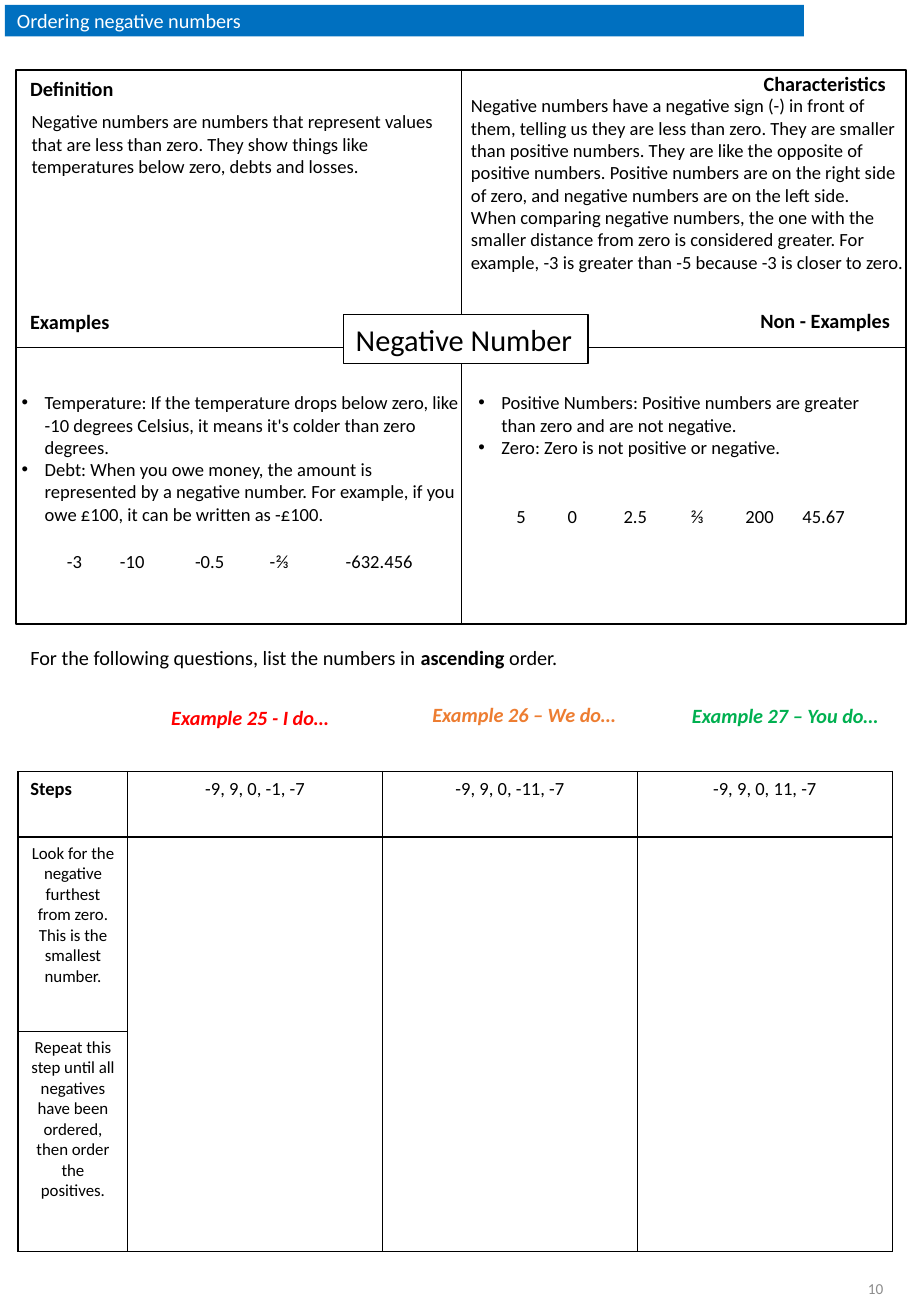
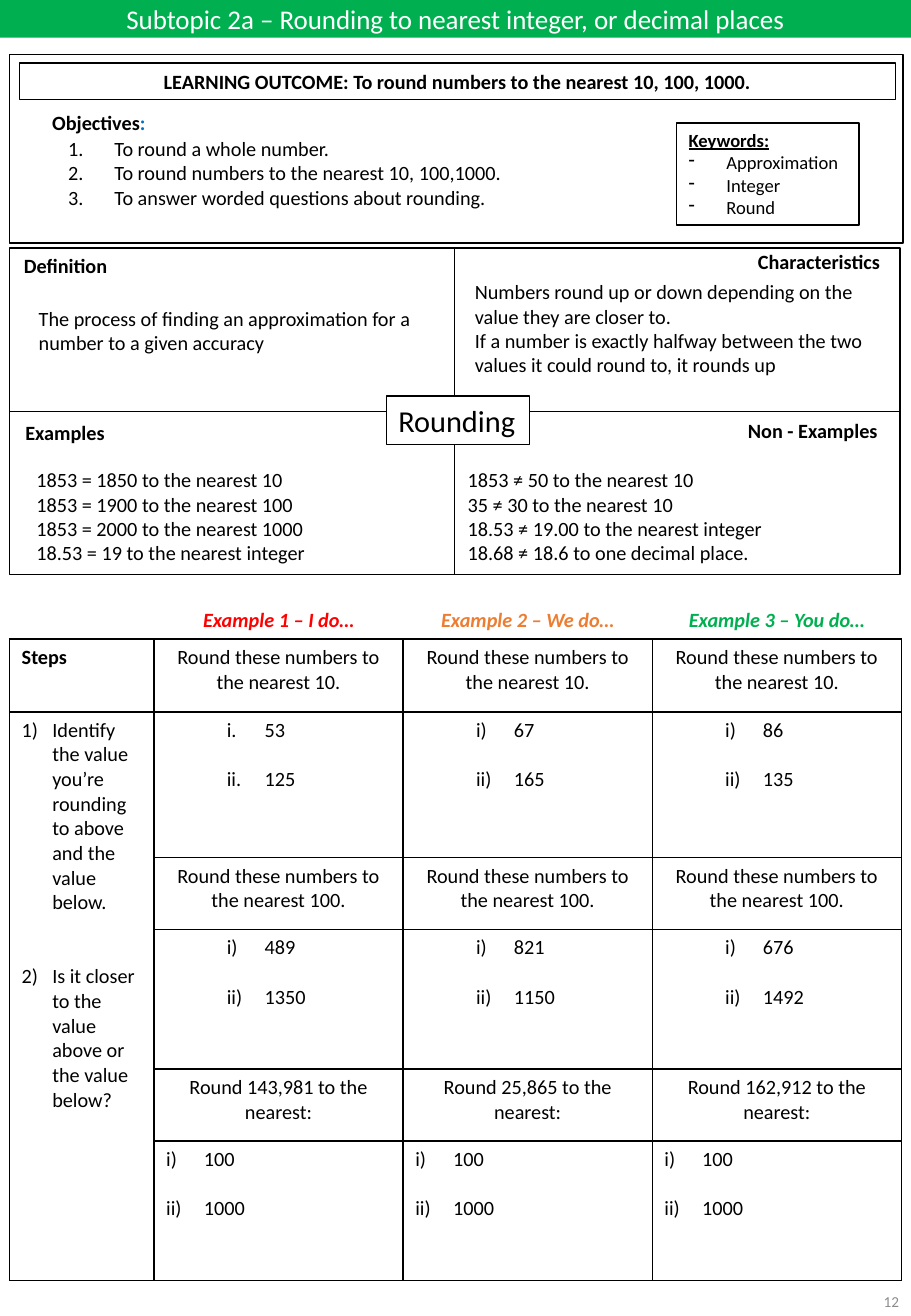
from dataclasses import dataclass

from lxml import etree
from pptx import Presentation
from pptx.dml.color import RGBColor
from pptx.enum import shapes, text
from pptx.oxml import ns
from pptx.util import Cm, Pt


@dataclass(frozen=True)
class Theme:
    font: str = "Calibri"
    ink: str = "000000"
    paper: str = "FFFFFF"
    blue: str = "0070C0"
    green: str = "00B050"
    red: str = "FF0000"
    orange: str = "ED7D31"
    grey: str = "8C8C8C"
    page: int = 9
    step: int = 10
    small: int = 11
    body: int = 12
    banner: int = 16
    concept: int = 18
    thick: float = 1
    medium: float = 0.75
    thin: float = 0.5


T = Theme()
CENTER, LEFT, RIGHT = text.PP_ALIGN.CENTER, text.PP_ALIGN.LEFT, text.PP_ALIGN.RIGHT
TOP, MIDDLE, BOTTOM = (text.MSO_ANCHOR.TOP, text.MSO_ANCHOR.MIDDLE,
                       text.MSO_ANCHOR.BOTTOM)
BLANK_LINE = 14.6
EXAMPLE_COLORS = (T.red, T.orange, T.green)
EXAMPLE_STYLE = dict(bold=True, italic=True)

# Content; every box is (left, top, width, height) in centimetres.
NEGATIVES = {
    "frame": (0.33, 1.47, 18.62, 11.58),
    "labels": [("Definition", 0.38, 1.47), ("Characteristics", 15.72, 1.37),
               ("Examples", 0.38, 6.35), ("Non - Examples", 15.65, 6.32)],
    "concept": ("Negative Number", (7.19, 6.58, 5.11, 1.02)),
    "texts": [
        ((0.41, 2.18, 8.97, 1.68), [
            "Negative numbers are numbers that represent values that are less than "
            "zero. They show things like temperatures below zero, debts and losses."]),
        ((9.6, 1.85, 9.7, 4.01), [
            "Negative numbers have a negative sign (-) in front of them, telling us "
            "they are less than zero. They are smaller than positive numbers. They are "
            "like the opposite of positive numbers. Positive numbers are on the right "
            "side of zero, and negative numbers are on the left side.",
            "When comparing negative numbers, the one with the smaller distance from "
            "zero is considered greater. For example, -3 is greater than -5 because "
            "-3 is closer to zero."]),
    ],
}
NEGATIVE_LISTS = [
    ((0.2, 8.05, 9.65, 3.2), [
        "Temperature: If the temperature drops below zero, like -10 degrees Celsius, "
        "it means it's colder than zero degrees.",
        "Debt: When you owe money, the amount is represented by a negative number. "
        "For example, if you owe £100, it can be written as -£100."]),
    ((9.75, 8.05, 8.97, 2), [
        "Positive Numbers: Positive numbers are greater than zero and are not negative.",
        "Zero: Zero is not positive or negative."]),
]
NUMBER_ROWS = [
    ((1.15, 11.37, 8.6, 0.75), ["-3", "-10", "-0.5", "-⅔", "-632.456"],
     (1.11, 2.68, 4.24, 5.83)),
    ((10.55, 10.43, 8.3, 0.75), ["5", "0", "2.5", "⅔", "200", "45.67"],
     (1.07, 2.24, 3.64, 4.79, 5.98)),
]
NEGATIVE_EXAMPLES = [("Example 25 - I do…", 3.33, 14.61),
                     ("Example 26 – We do…", 8.79, 14.55),
                     ("Example 27 – You do…", 14.22, 14.58)]
ORDERING_SETS = ["-9, 9, 0, -1, -7", "-9, 9, 0, -11, -7", "-9, 9, 0, 11, -7"]
ORDERING_STEPS = [
    "Look for the negative furthest from zero. This is the smallest number.",
    "Repeat this step until all negatives have been ordered, then order the positives."]

ROUNDING = {
    "frame": (0.2, 5.18, 18.62, 6.83),
    "labels": [("Definition", 0.25, 5.18), ("Characteristics", 15.6, 5.08),
               ("Examples", 0.28, 8.66), ("Non - Examples", 15.39, 8.61)],
    "concept": ("Rounding", (8.08, 8.28, 3, 1.02)),
    "texts": [
        ((0.56, 6.27, 8.97, 1.27), [
            "The process of finding an approximation for a number to a given accuracy"]),
        ((9.68, 5.72, 8.97, 2.31), [
            "Numbers round up or down depending on the value they are closer to.",
            "If a number is exactly halfway between the two values it could round to, "
            "it rounds up"]),
        ((0.51, 9.65, 8.97, 2.31), [
            "1853 = 1850 to the nearest 10", "1853 = 1900 to the nearest 100",
            "1853 = 2000 to the nearest 1000", "18.53 = 19 to the nearest integer"]),
        ((9.53, 9.65, 8.97, 2.31), [
            "1853 ≠ 50 to the nearest 10", "35 ≠ 30 to the nearest 10",
            "18.53 ≠ 19.00 to the nearest integer",
            "18.68 ≠ 18.6 to one decimal place."]),
    ],
}
OBJECTIVES = ["To round a whole number.", "To round numbers to the nearest 10, 100,1000.",
              "To answer worded questions about rounding."]
KEYWORDS = ["Approximation", "Integer", "Round"]
ROUNDING_EXAMPLES = ["Example 1 – I do…", "Example 2 – We do…", "Example 3 – You do…"]
ROUNDING_STEPS = ["Identify the value you’re rounding to above and the value below.",
                  "Is it closer to the value above or the value below?"]
# Per pair of rows: the three prompts, the three answer lists, text indent in cm.
ROUNDING_TASKS = [
    (["Round these numbers to the nearest 10."] * 3,
     [["53", "125"], ["67", "165"], ["86", "135"]], 2.06),
    (["Round these numbers to the nearest 100."] * 3,
     [["489", "1350"], ["821", "1150"], ["676", "1492"]], 2.06),
    ([f"Round {n} to the nearest:" for n in ("143,981", "25,865", "162,912")],
     [["100", "1000"]] * 3, 0.79),
]


def cm(values):
    return [Cm(v) for v in values]


def rgb(code):
    return RGBColor.from_string(code)


def write(tf, paras, size=T.body, color=T.ink, align=LEFT, gap=0, **style):
    """Fill a text frame; a paragraph is a string or a list of (text, font changes)."""
    tf.word_wrap = True
    for i, runs in enumerate(paras):
        p = tf.add_paragraph() if i else tf.paragraphs[0]
        p.alignment = align
        p.space_before = Pt(gap if i else 0)
        for words, changes in [(runs, {})] if isinstance(runs, str) else runs:
            r = p.add_run()
            r.text = words
            look = dict(name=T.font, size=size, color=color) | style | changes
            r.font.color.rgb = rgb(look.pop("color"))
            r.font.size = Pt(look.pop("size"))
            for key, value in look.items():
                setattr(r.font, key, value)
    return tf.paragraphs


def bullet(paras, mark, indent, hang=None):
    """Hang paragraphs on a one-character mark or an automatic numbering scheme."""
    for p in paras:
        pPr = p._p.get_or_add_pPr()
        pPr.set("marL", str(Cm(indent)))
        pPr.set("indent", str(-Cm(hang or indent)))
        if len(mark) == 1:
            etree.SubElement(pPr, ns.qn("a:buChar"), char=mark)
        else:
            etree.SubElement(pPr, ns.qn("a:buAutoNum"), type=mark)


def add_text(s, box, paras, **style):
    sp = s.shapes.add_textbox(*cm(box))
    return write(sp.text_frame, paras, **style)


def add_rect(s, box, width, fill=None):
    sp = s.shapes.add_shape(shapes.MSO_SHAPE.RECTANGLE, *cm(box))
    sp.shadow.inherit = False
    if fill:
        sp.fill.solid()
        sp.fill.fore_color.rgb = rgb(fill)
    else:
        sp.fill.background()
    sp.line.color.rgb = rgb(T.ink)
    sp.line.width = Pt(width)
    sp.text_frame.vertical_anchor = TOP
    return sp


def add_line(s, *ends):
    line = s.shapes.add_connector(shapes.MSO_CONNECTOR.STRAIGHT, *cm(ends))
    line.line.color.rgb = rgb(T.ink)
    line.line.width = Pt(T.thin)
    etree.SubElement(line._element.spPr, ns.qn("a:effectLst"))


def place(sp, box):
    sp.left, sp.top, sp.width, sp.height = cm(box)
    sp.text_frame.auto_size = text.MSO_AUTO_SIZE.NONE


def start_slide(prs, layout, title, box, fill, size, align, page, page_at):
    """Add a slide with its title band and page number."""
    s = prs.slides.add_slide(prs.slide_layouts[layout])
    band = s.shapes.title
    place(band, box)
    band.fill.solid()
    band.fill.fore_color.rgb = rgb(fill)
    band.text_frame.vertical_anchor = MIDDLE
    write(band.text_frame, [title], size, T.paper, align)
    number = s.shapes.add_textbox(*cm((*page_at, 4.29, 1.47)))
    number.text_frame.vertical_anchor = MIDDLE
    write(number.text_frame, [page], T.page, T.grey, RIGHT)
    return s


def fill_list(sp, box, items, size, mark, indent):
    place(sp, box)
    sp.text_frame.vertical_anchor = TOP
    bullet(write(sp.text_frame, items, size), mark, indent)


def add_concept_map(s, content, size):
    """Four labelled quarters around a central concept."""
    x, y, w, h = content["frame"]
    add_rect(s, content["frame"], T.thick)
    add_line(s, x, y + h / 2, x + w, y + h / 2)
    add_line(s, x + w / 2, y + h, x + w / 2, y)
    for label, left, top in content["labels"]:
        add_text(s, (left, top, 3.35, 0.76), [label], bold=True)
    for box, paras in content["texts"]:
        add_text(s, box, paras, size=size)
    name, box = content["concept"]
    tf = add_rect(s, box, T.medium, T.paper).text_frame
    write(tf, [name], T.concept)
    tf.word_wrap = False


def add_grid(s, at, widths, heights, open_rows):
    """Add a ruled white table; open_rows maps a row to the only sides it shows."""
    size = (sum(widths), sum(heights))
    tbl = s.shapes.add_table(len(heights), len(widths), *cm(at + size)).table
    tbl.first_row = tbl.horz_banding = False
    for col, width in zip(tbl.columns, widths):
        col.width = Cm(width)
    for i, (row, height) in enumerate(zip(tbl.rows, heights)):
        row.height = Cm(height)
        for cell in row.cells:
            tcPr = cell._tc.get_or_add_tcPr()
            for side in "LRTB":
                ln = etree.SubElement(tcPr, ns.qn(f"a:ln{side}"), w=str(Pt(T.thick)))
                if side in open_rows.get(i, "LRTB"):
                    solid = etree.SubElement(ln, ns.qn("a:solidFill"))
                    etree.SubElement(solid, ns.qn("a:srgbClr"), val=T.ink)
                else:
                    etree.SubElement(ln, ns.qn("a:noFill"))
            cell.fill.solid()
            cell.fill.fore_color.rgb = rgb(T.paper)
    return tbl


def build_ordering(prs):
    s = start_slide(prs, 3, "Ordering negative numbers", (0.1, 0.1, 16.71, 0.66),
                    T.blue, T.body, LEFT, "10", (14.43, 26.19))
    for idx, (box, items) in enumerate(NEGATIVE_LISTS, 1):
        fill_list(s.placeholders[idx], box, items, T.small, "•", 0.48)
    add_concept_map(s, NEGATIVES, T.small)
    for box, values, stops in NUMBER_ROWS:
        p = add_text(s, box, ["\t".join(values)], size=T.small)[0]
        tabs = etree.SubElement(p._p.get_or_add_pPr(), ns.qn("a:tabLst"))
        for stop in stops:
            etree.SubElement(tabs, ns.qn("a:tab"), pos=str(Cm(stop)), algn="l")

    tbl = add_grid(s, (0.38, 13.39), [2.29] + [5.33] * 3, [1.37] * 3 + [4.06, 4.6],
                   {0: "", 1: "B"})
    tbl.cell(0, 0).merge(tbl.cell(0, 3))
    write(tbl.cell(0, 0).text_frame, [[
        ("For the following questions, list the numbers in ", {}),
        ("ascending", {"bold": True}), (" order.", {})]])
    write(tbl.cell(2, 0).text_frame, ["Steps"], T.small, bold=True)
    for col, numbers in enumerate(ORDERING_SETS, 1):
        write(tbl.cell(2, col).text_frame, [numbers], T.small, align=CENTER)
        tbl.cell(3, col).merge(tbl.cell(4, col))
    for row, step in enumerate(ORDERING_STEPS, 3):
        write(tbl.cell(row, 0).text_frame, [step], T.step, align=CENTER)
    for (label, left, top), color in zip(NEGATIVE_EXAMPLES, EXAMPLE_COLORS):
        add_text(s, (left, top, 4.57, 0.76), [label], color=color, **EXAMPLE_STYLE)


def build_rounding(prs):
    s = start_slide(prs, 1, "Subtopic 2a – Rounding to nearest integer, or decimal places",
                    (0, 0, 19.05, 0.79), T.green, T.banner, CENTER, "12", (14.76, 26.47))
    fill_list(s.placeholders[1], (1.17, 2.72, 12.5, 2.31), OBJECTIVES, T.body,
              "arabicPeriod", 0.97)
    add_rect(s, (0.2, 1.14, 18.69, 3.94), T.thick)
    outcome = add_rect(s, (0.41, 1.32, 18.31, 0.76), T.medium)
    write(outcome.text_frame,
          ["LEARNING OUTCOME: To round numbers to the nearest 10, 100, 1000."],
          align=CENTER, bold=True)
    add_text(s, (0.84, 2.18, 3.2, 0.76),
             [[("Objectives", {}), (":", {"color": T.blue})]], bold=True)
    keywords = add_rect(s, (14.15, 2.57, 3.81, 2.13), T.thick)
    heading = [("Keywords:", {"bold": True, "underline": True})]
    bullet(write(keywords.text_frame, [heading] + KEYWORDS, T.small)[1:], "-", 0.79)
    add_concept_map(s, ROUNDING, T.body)

    tbl = add_grid(s, (0.2, 12.09), [3.02] + [5.21] * 3,
                   [1.27, 1.52, 3.05, 1.5, 2.92, 1.5, 2.92], {0: "B"})
    write(tbl.cell(1, 0).text_frame, ["Steps"], bold=True)
    tbl.cell(2, 0).merge(tbl.cell(6, 0))
    bullet(write(tbl.cell(2, 0).text_frame, ROUNDING_STEPS, gap=2 * BLANK_LINE),
           "arabicParenR", 0.64)
    for col, (label, color) in enumerate(zip(ROUNDING_EXAMPLES, EXAMPLE_COLORS), 1):
        tbl.cell(0, col).vertical_anchor = BOTTOM
        write(tbl.cell(0, col).text_frame, [label], color=color, align=CENTER,
              **EXAMPLE_STYLE)
        for i, (prompts, answers, indent) in enumerate(ROUNDING_TASKS):
            row = 1 + 2 * i
            write(tbl.cell(row, col).text_frame, [prompts[col - 1]], align=CENTER)
            paras = write(tbl.cell(row + 1, col).text_frame, answers[col - 1],
                          gap=BLANK_LINE)
            scheme = "romanLcPeriod" if row == col == 1 else "romanLcParenR"
            bullet(paras, scheme, indent, 0.79)


def main():
    prs = Presentation()
    prs.slide_width, prs.slide_height = Cm(19.05), Cm(27.51)
    build_ordering(prs)
    build_rounding(prs)
    prs.save("out.pptx")


if __name__ == "__main__":
    main()
